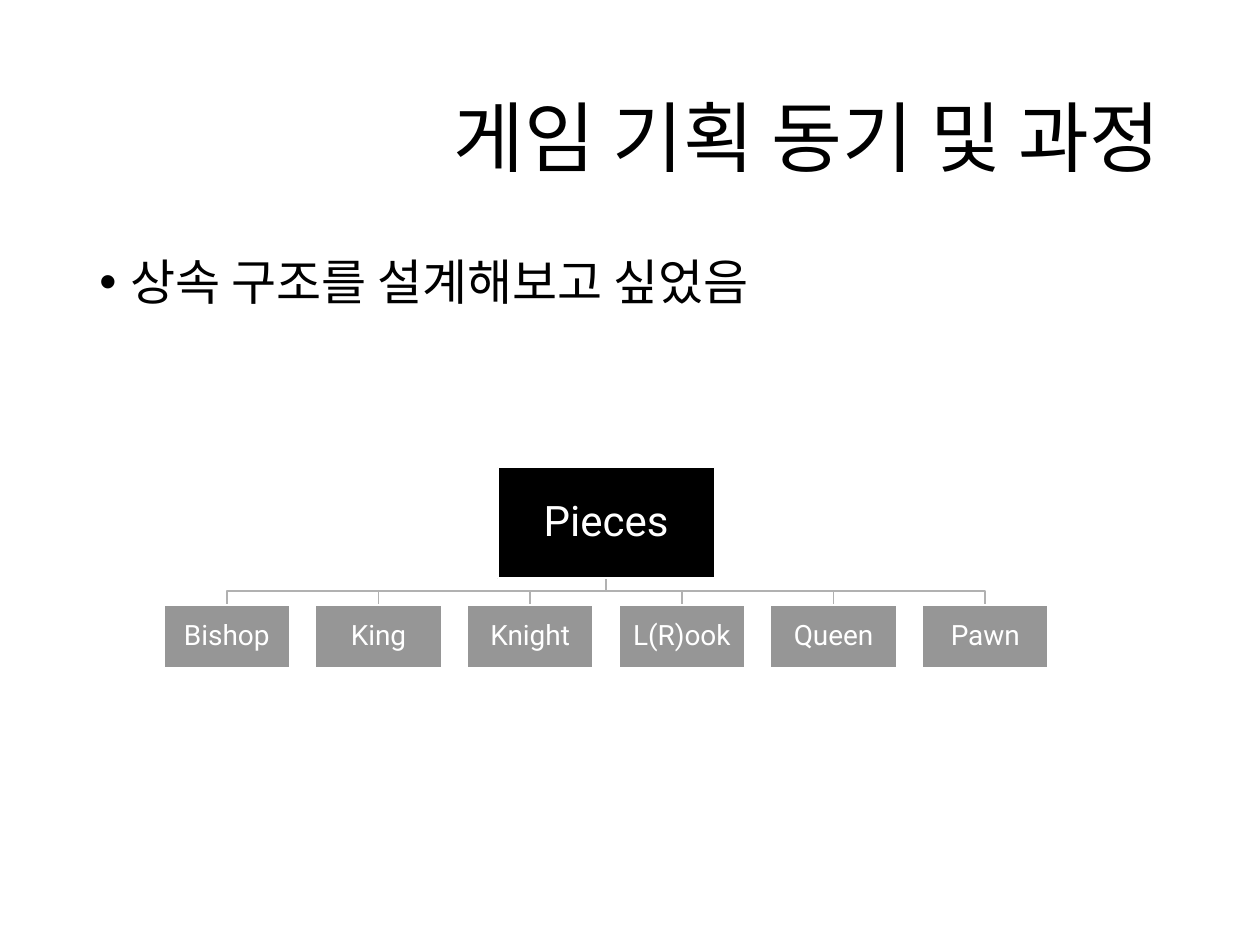
import lxml.etree
import pptx
import pptx.dml.color
import pptx.enum.shapes
import pptx.enum.text
import pptx.oxml.ns
import pptx.util

Inches = pptx.util.Inches
Pt = pptx.util.Pt
RGBColor = pptx.dml.color.RGBColor
ALIGN = pptx.enum.text.PP_ALIGN
ANCHOR = pptx.enum.text.MSO_ANCHOR

BLACK = RGBColor(0x00, 0x00, 0x00)
WHITE = RGBColor(0xFF, 0xFF, 0xFF)
GRAY = RGBColor(0x96, 0x96, 0x96)
LINK_GRAY = RGBColor(0xB1, 0xB1, 0xB1)

ROOT_CENTER, ROOT_TOP, ROOT_WIDTH, ROOT_HEIGHT = 4.81, 3.71, 1.72, 0.88
PIECE_TOP, PIECE_WIDTH, PIECE_HEIGHT = 4.8, 1, 0.5
PIECE_PITCH = 6.02 / 5
BRANCH_Y = 4.69
PIECES = ["Bishop", "King", "Knight", "L(R)ook", "Queen", "Pawn"]


class InheritanceSlide:
    """Draws styled text, class boxes and branch lines on one slide."""

    text_font = "Calibri"
    box_font = "Roboto"

    def __init__(self, slide):
        self.shapes = slide.shapes

    def set_wording(self, frame, wording, size, font, color, align):
        frame.word_wrap = True
        frame.text = wording
        paragraph = frame.paragraphs[0]
        paragraph.alignment = align
        paragraph.line_spacing = 0.9
        letters = paragraph.runs[0].font
        letters.size, letters.name, letters.color.rgb = Pt(size), font, color
        return paragraph

    def text(self, wording, top, height, size, align, anchor):
        frame = self.shapes.add_textbox(
            Inches(0.69), Inches(top), Inches(8.62), Inches(height)
        ).text_frame
        frame.vertical_anchor = anchor
        return self.set_wording(frame, wording, size, self.text_font, BLACK, align)

    def bullet(self, wording, top, height, size):
        paragraph = self.text(wording, top, height, size, ALIGN.LEFT, ANCHOR.TOP)
        paragraph.space_before = Pt(10)
        properties = paragraph._p.get_or_add_pPr()
        properties.set("marL", str(Inches(0.25)))
        properties.set("indent", str(Inches(-0.25)))
        qn = pptx.oxml.ns.qn
        lxml.etree.SubElement(properties, qn("a:buFont")).set("typeface", "Arial")
        lxml.etree.SubElement(properties, qn("a:buChar")).set("char", "•")

    def box(self, wording, center, top, width, height, fill, size, inset):
        box = self.shapes.add_shape(
            pptx.enum.shapes.MSO_SHAPE.RECTANGLE,
            Inches(center - width / 2), Inches(top), Inches(width), Inches(height),
        )
        box.shadow.inherit = False
        box.fill.solid()
        box.fill.fore_color.rgb = fill
        box.line.color.rgb = WHITE
        box.line.width = Pt(1)
        frame = box.text_frame
        frame.margin_left = frame.margin_right = Inches(inset)
        frame.margin_top = frame.margin_bottom = Inches(inset)
        frame.vertical_anchor = ANCHOR.MIDDLE
        self.set_wording(frame, wording, size, self.box_font, WHITE, ALIGN.CENTER)

    def branch(self, points):
        start, *corners = [(Inches(x), Inches(y)) for x, y in points]
        outline = self.shapes.build_freeform(*start)
        outline.add_line_segments(corners, close=False)
        branch = outline.convert_to_shape()
        branch.shadow.inherit = False
        branch.fill.background()
        branch.line.color.rgb = LINK_GRAY
        branch.line.width = Pt(1)


def main():
    deck = pptx.Presentation()
    deck.slide_width, deck.slide_height = Inches(10), Inches(7.5)
    page = InheritanceSlide(deck.slides.add_slide(deck.slide_layouts[6]))

    page.text("게임 기획 동기 및 과정", 0.4, 1.45, 44, ALIGN.RIGHT, ANCHOR.MIDDLE)
    page.bullet("상속 구조를 설계해보고 싶었음", 2, 4.76, 28)

    middle = (len(PIECES) - 1) / 2
    centers = [ROOT_CENTER + (i - middle) * PIECE_PITCH for i in range(len(PIECES))]
    for center in reversed(centers):
        page.branch([
            (ROOT_CENTER, ROOT_TOP + ROOT_HEIGHT), (ROOT_CENTER, BRANCH_Y),
            (center, BRANCH_Y), (center, PIECE_TOP),
        ])
    page.box("Pieces", ROOT_CENTER, ROOT_TOP, ROOT_WIDTH, ROOT_HEIGHT, BLACK, 24, 0.02)
    for piece, center in zip(PIECES, centers):
        page.box(piece, center, PIECE_TOP, PIECE_WIDTH, PIECE_HEIGHT, GRAY, 16, 0.01)

    deck.save("out.pptx")


if __name__ == "__main__":
    main()
